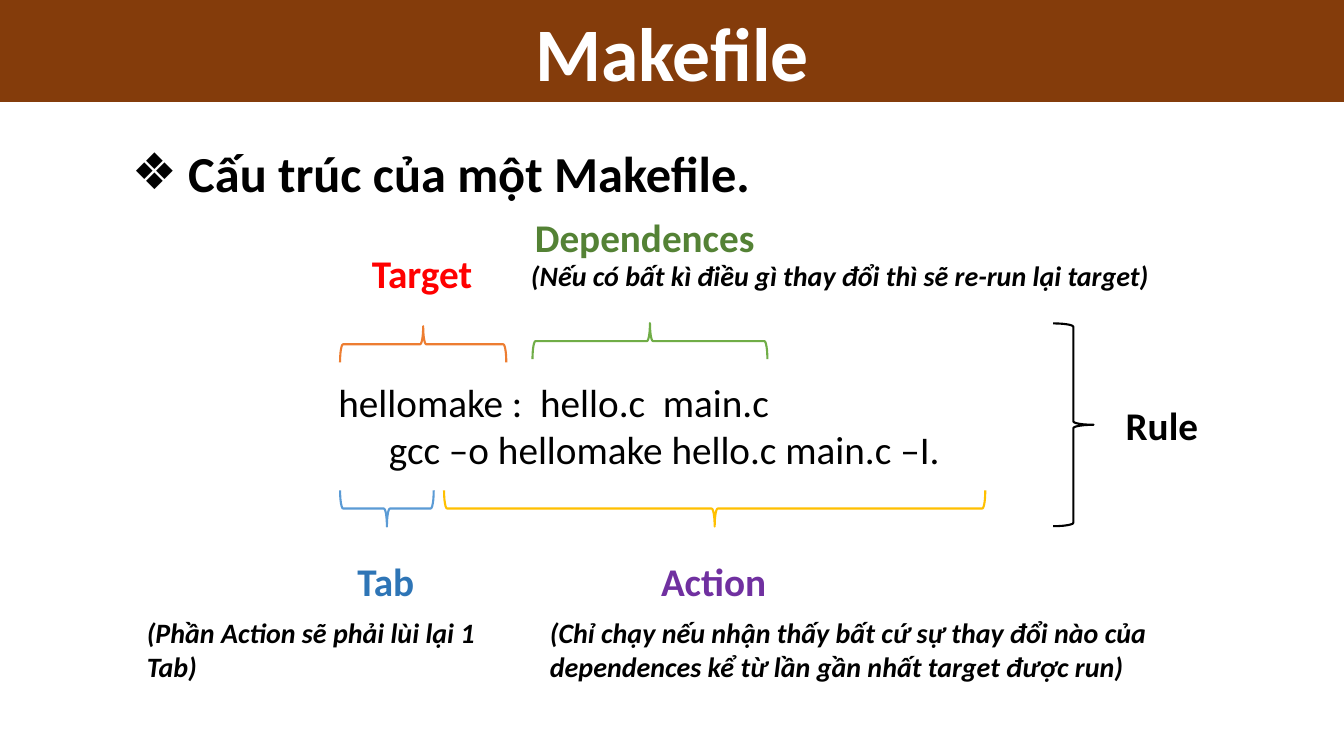
from dataclasses import dataclass

from lxml.etree import SubElement
from pptx import Presentation
from pptx.dml.color import RGBColor
from pptx.enum.shapes import MSO_SHAPE as Preset
from pptx.enum.text import MSO_ANCHOR as Anchor, MSO_AUTO_SIZE as AutoSize, PP_ALIGN as Align
from pptx.oxml.ns import qn
from pptx.slide import Slide
from pptx.text.text import TextFrame
from pptx.util import Cm, Pt

FONT = "Calibri"
BLACK = "000000"


@dataclass
class Label:
    text: str
    left: float
    top: float
    width: float
    height: float = 1.45
    color: str = BLACK
    size: int = 28
    bold: bool = True
    italic: bool = False
    wrap: bool = False


@dataclass
class Note(Label):
    size: int = 20
    italic: bool = True
    wrap: bool = True


@dataclass
class Brace:
    """A brace given by the box it covers on the slide, after rotation."""
    left: float
    top: float
    width: float
    color: str
    rotation: int
    height: float = 0.91


def rgb(color: str) -> RGBColor:
    return RGBColor.from_string(color)


def write(frame: TextFrame, label: Label) -> None:
    frame.text = label.text
    frame.word_wrap = label.wrap
    for paragraph in frame.paragraphs:
        font = paragraph.font
        font.name, font.size = FONT, Pt(label.size)
        font.bold, font.italic = label.bold, label.italic
        font.color.rgb = rgb(label.color)


def place(shape, label: Label) -> None:
    shape.left, shape.top = Cm(label.left), Cm(label.top)
    shape.width, shape.height = Cm(label.width), Cm(label.height)
    write(shape.text_frame, label)
    shape.text_frame.auto_size = AutoSize.NONE


def add_label(slide: Slide, label: Label) -> None:
    box = slide.shapes.add_textbox(
        Cm(label.left), Cm(label.top), Cm(label.width), Cm(label.height))
    write(box.text_frame, label)


def add_brace(slide: Slide, brace: Brace) -> None:
    width, height = brace.width, brace.height
    if brace.rotation:
        width, height = height, width
    left = brace.left + (brace.width - width) / 2
    top = brace.top + (brace.height - height) / 2
    shape = slide.shapes.add_shape(
        Preset.RIGHT_BRACE, Cm(left), Cm(top), Cm(width), Cm(height))
    shape.rotation = brace.rotation
    shape.shadow.inherit = False
    shape.fill.background()
    shape.line.color.rgb = rgb(brace.color)
    shape.line.width = Pt(1.5)


TITLE = Label("Makefile", 0, 0, 33.87, 2.57, "FFFFFF", 54, wrap=True)
HEADING = Label("Cấu trúc của một Makefile.", 3.07, 3.45, 16.26, 1.8, size=36)

LABELS = [
    Label("hellomake :  hello.c  main.c\n\tgcc –o hellomake hello.c main.c –I.",
          8.28, 9.4, 17.12, 2.64, bold=False),
    Label("Target", 9.12, 6.17, 3.07, color="FF0000"),
    Label("Dependences", 13.23, 5.26, 6.1, color="548235"),
    Label("Tab", 8.76, 13.92, 1.96, color="2E75B6"),
    Label("Action", 16.41, 13.92, 3.2, color="7030A0"),
    Label("Rule", 28.12, 9.98, 2.36),
    Note("(Nếu có bất kì điều gì thay đổi thì sẽ re-run lại target)",
         13.13, 6.4, 16.21, 1.12),
    Note("(Phần Action sẽ phải lùi lại 1 Tab)", 3.45, 15.39, 10.19, 1.96),
    Note("(Chỉ chạy nếu nhận thấy bất cứ sự thay đổi nào của "
         "dependences kể từ lần gần nhất target được run)",
         13.61, 15.39, 16.21, 1.96),
]

BRACES = [
    Brace(8.57, 8.22, 4.19, "ED7D31", 270),
    Brace(13.42, 8.14, 5.92, "70AD47", 270),
    Brace(8.57, 12.36, 2.36, "5B9BD5", 90),
    Brace(11.19, 12.36, 13.64, "FFC000", 90),
    Brace(26.54, 8.15, 1.02, BLACK, 0, 5.11),
]


def main() -> None:
    presentation = Presentation()
    presentation.slide_width, presentation.slide_height = Cm(33.87), Cm(19.05)
    slide = presentation.slides.add_slide(presentation.slide_layouts[1])

    # Title bar
    title = slide.shapes.title
    place(title, TITLE)
    title.fill.solid()
    title.fill.fore_color.rgb = rgb("843C0B")
    title.text_frame.vertical_anchor = Anchor.MIDDLE
    title.text_frame.paragraphs[0].alignment = Align.CENTER

    # Bulleted heading
    body = slide.placeholders[1]
    place(body, HEADING)
    paragraph = body.text_frame.paragraphs[0]
    paragraph.space_before = Pt(0)
    properties = paragraph._p.get_or_add_pPr()
    properties.set("marL", str(Cm(1.42)))
    properties.set("indent", str(-Cm(1.42)))
    bullet = SubElement(properties, qn("a:buChar"))
    bullet.set("char", "❖")
    properties.insert_element_before(bullet, "a:tabLst", "a:defRPr", "a:extLst")

    # Annotated rule
    for brace in BRACES:
        add_brace(slide, brace)
    for label in LABELS:
        add_label(slide, label)

    presentation.save("out.pptx")


if __name__ == "__main__":
    main()
